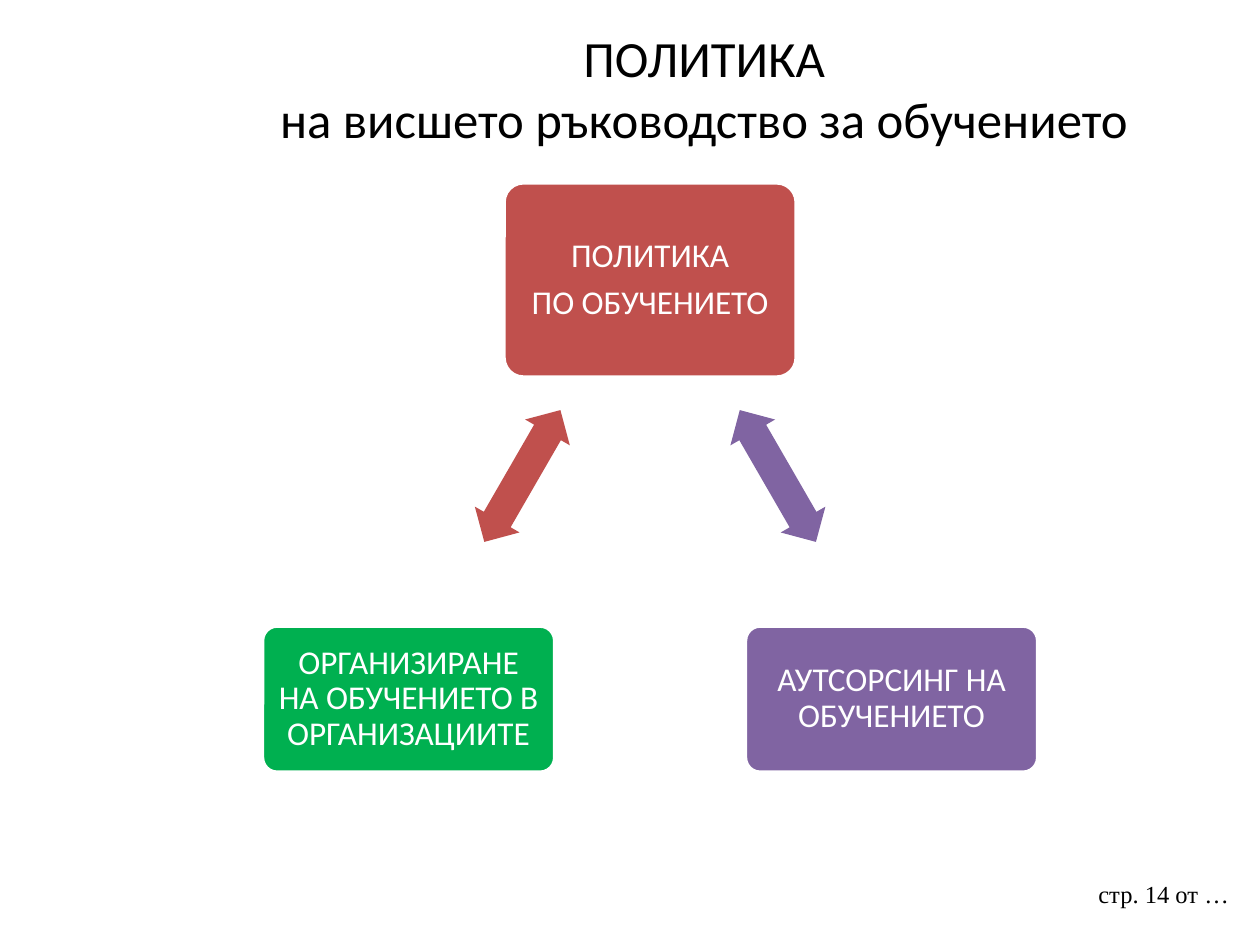
"""Build a slide on the training policy of top management."""
from dataclasses import dataclass

import pptx
import pptx.dml.color
import pptx.enum.shapes
import pptx.enum.text
import pptx.util

Pt = pptx.util.Pt
RGB = pptx.dml.color.RGBColor
SHAPE = pptx.enum.shapes.MSO_SHAPE
ANCHOR = pptx.enum.text.MSO_ANCHOR
ALIGN = pptx.enum.text.PP_ALIGN


@dataclass(frozen=True)
class Theme:
    red: RGB = RGB(0xC0, 0x50, 0x4D)
    green: RGB = RGB(0x00, 0xB0, 0x50)
    purple: RGB = RGB(0x80, 0x64, 0xA2)
    white: RGB = RGB(0xFF, 0xFF, 0xFF)
    black: RGB = RGB(0x00, 0x00, 0x00)
    font: str = "Calibri"
    page_font: str = "Times New Roman"
    title_size: float = 29
    node_size: float = 19
    page_size: float = 14


@dataclass(frozen=True)
class Node:
    text: str
    center: float
    top: float
    height: float
    color: RGB


@dataclass(frozen=True)
class Arrow:
    center: float
    rotation: float
    color: RGB


THEME = Theme()
AXIS = 371.5
NODE_OFFSET, NODE_WIDTH = 138, 167
ARROW_OFFSET, ARROW_MIDDLE = 73, 272
ARROW_WIDTH, ARROW_HEIGHT = 87, 29.5

NODES = [
    Node("ПОЛИТИКА\nПО ОБУЧЕНИЕТО", AXIS, 104.5, 111, THEME.red),
    Node("ОРГАНИЗИРАНЕ НА ОБУЧЕНИЕТО В ОРГАНИЗАЦИИТЕ",
         AXIS - NODE_OFFSET, 357.8, 83.5, THEME.green),
    Node("АУТСОРСИНГ НА ОБУЧЕНИЕТО",
         AXIS + NODE_OFFSET, 357.8, 83.5, THEME.purple),
]
ARROWS = [
    Arrow(AXIS - ARROW_OFFSET, 120, THEME.red),
    Arrow(AXIS + ARROW_OFFSET, 240, THEME.purple),
]


def style(p, size: float, color: RGB, name: str = THEME.font) -> None:
    """Set the font of a whole paragraph."""
    p.font.size = Pt(size)
    p.font.name = name
    p.font.color.rgb = color


def add_title(s, text: str) -> None:
    """Fill and place the title placeholder."""
    sp = s.shapes.title
    sp.left, sp.top, sp.width, sp.height = Pt(85), Pt(21.6), Pt(635), Pt(90)
    tf = sp.text_frame
    tf.text = text
    tf.auto_size = pptx.enum.text.MSO_AUTO_SIZE.NONE
    tf.vertical_anchor = ANCHOR.MIDDLE
    tf.margin_bottom = Pt(37)
    p = tf.paragraphs[0]
    p.alignment = ALIGN.CENTER
    style(p, THEME.title_size, THEME.black)


def add_node(s, node: Node) -> None:
    """Draw a rounded box with centred text."""
    sp = s.shapes.add_shape(
        SHAPE.ROUNDED_RECTANGLE, Pt(node.center - NODE_WIDTH / 2),
        Pt(node.top), Pt(NODE_WIDTH), Pt(node.height))
    sp.adjustments[0] = 0.1
    sp.shadow.inherit = False
    sp.fill.solid()
    sp.fill.fore_color.rgb = node.color
    sp.line.color.rgb = THEME.white
    sp.line.width = Pt(2)
    tf = sp.text_frame
    tf.word_wrap = True
    tf.vertical_anchor = ANCHOR.MIDDLE
    tf.margin_left = tf.margin_right = Pt(5)
    tf.margin_top = tf.margin_bottom = Pt(5)
    tf.text = node.text
    for p in tf.paragraphs:
        p.alignment = ALIGN.CENTER
        p.line_spacing = 0.9
        p.space_after = Pt(6.5)
        style(p, THEME.node_size, THEME.white)


def add_arrow(s, arrow: Arrow) -> None:
    """Draw a rotated double arrow."""
    sp = s.shapes.add_shape(
        SHAPE.LEFT_RIGHT_ARROW, Pt(arrow.center - ARROW_WIDTH / 2),
        Pt(ARROW_MIDDLE - ARROW_HEIGHT / 2), Pt(ARROW_WIDTH), Pt(ARROW_HEIGHT))
    sp.adjustments[0] = 0.6
    sp.adjustments[1] = 0.5
    sp.rotation = arrow.rotation
    sp.shadow.inherit = False
    sp.fill.solid()
    sp.fill.fore_color.rgb = arrow.color
    sp.line.fill.background()


def add_page_label(s, text: str) -> None:
    """Write the page label in the lower right corner."""
    sp = s.shapes.add_textbox(Pt(620.6), Pt(499), Pt(93.6), Pt(37.4))
    tf = sp.text_frame
    tf.word_wrap = True
    tf.text = text
    style(tf.paragraphs[0], THEME.page_size, THEME.black, THEME.page_font)


def main() -> None:
    """Build and save the presentation."""
    prs = pptx.Presentation()
    prs.slide_width, prs.slide_height = Pt(720), Pt(540)
    s = prs.slides.add_slide(prs.slide_layouts[5])
    add_page_label(s, "стр. 14 от …")
    add_title(s, "ПОЛИТИКА\vна висшето ръководство за обучението")
    for node in NODES:
        add_node(s, node)
    for arrow in ARROWS:
        add_arrow(s, arrow)
    prs.save("out.pptx")


if __name__ == "__main__":
    main()
